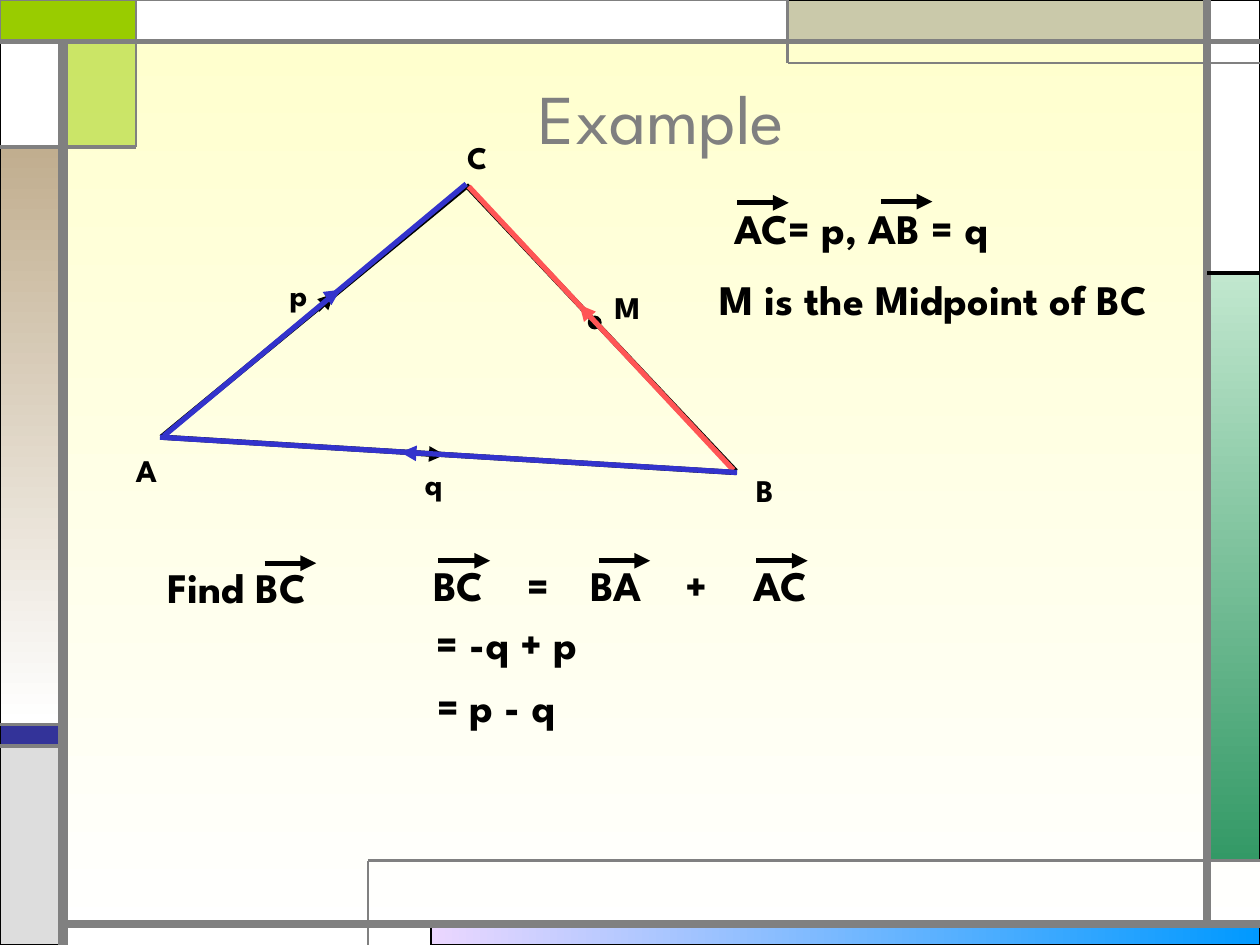
from dataclasses import dataclass
from typing import NamedTuple, Optional

from lxml import etree
from pptx import Presentation
from pptx import util as u
from pptx.dml import color as col
from pptx.enum import shapes, text
from pptx.oxml import ns


@dataclass(frozen=True)
class Theme:
    font: str = "League Spartan"
    title: int = 40
    body: int = 24
    label: int = 18
    black: str = "000000"
    white: str = "FFFFFF"
    gray: str = "808080"
    lime: str = "99CC00"
    navy: str = "333399"
    silver: str = "DDDDDD"
    khaki: str = "CAC9AA"
    red: str = "FF5555"
    blue: str = "3333CC"
    page: tuple = ("FFFFCC", "FFFFFF")
    sky: tuple = ("0099FF", "EBD7FF")
    green: tuple = ("C1E7CE", "339966")
    tan: tuple = ("C1AE8F", "FFFFFF")


T = Theme()


class Panel(NamedTuple):
    x: float
    y: float
    w: float
    h: float
    fill: object  # one colour, or a pair for a gradient
    angle: int = 270
    alpha: Optional[int] = None
    edge: str = T.black
    weight: float = 0.75
    kind: shapes.MSO_SHAPE = shapes.MSO_SHAPE.RECTANGLE


class Stroke(NamedTuple):
    x1: float
    y1: float
    x2: float
    y2: float
    color: str = T.black
    weight: float = 3
    arrow: bool = False


class Label(NamedTuple):
    words: str
    x: float
    y: float
    w: float
    h: float = 0.5
    size: int = T.body


def rgb(code: str) -> col.RGBColor:
    return col.RGBColor.from_string(code)


def shade(fill, pair: tuple, angle: int) -> None:
    fill.gradient()
    fill.gradient_angle = angle
    for stop, code in zip(fill.gradient_stops, pair):
        stop.color.rgb = rgb(code)


def draw_panel(slide, p: Panel) -> None:
    box = slide.shapes.add_shape(p.kind, *map(u.Inches, (p.x, p.y, p.w, p.h)))
    box.shadow.inherit = False
    if isinstance(p.fill, tuple):
        shade(box.fill, p.fill, p.angle)
    else:
        box.fill.solid()
        box.fill.fore_color.rgb = rgb(p.fill)
    if p.alpha is not None:
        tint = box.fill._xPr.find(".//" + ns.qn("a:srgbClr"))
        etree.SubElement(tint, ns.qn("a:alpha")).set("val", str(p.alpha * 1000))
    box.line.color.rgb = rgb(p.edge)
    box.line.width = u.Pt(p.weight)


def draw_stroke(slide, s: Stroke) -> None:
    ends = map(u.Inches, (s.x1, s.y1, s.x2, s.y2))
    line = slide.shapes.add_connector(shapes.MSO_CONNECTOR.STRAIGHT, *ends)
    line.line.color.rgb = rgb(s.color)
    line.line.width = u.Pt(s.weight)
    if s.arrow:
        tip = etree.SubElement(line.line._get_or_add_ln(), ns.qn("a:tailEnd"))
        tip.set("type", "triangle")
    etree.SubElement(line._element.spPr, ns.qn("a:effectLst"))


def draw_label(slide, l: Label) -> None:
    box = slide.shapes.add_textbox(*map(u.Inches, (l.x, l.y, l.w, l.h)))
    frame = box.text_frame
    frame.text = l.words
    frame.word_wrap = False
    frame.auto_size = text.MSO_AUTO_SIZE.SHAPE_TO_FIT_TEXT
    style(frame, l.size, T.black, True)


def style(frame, size: int, color: str, bold: bool) -> None:
    font = frame.paragraphs[0].runs[0].font
    font.name, font.size, font.bold = T.font, u.Pt(size), bold
    font.color.rgb = rgb(color)


def draw_title(slide, words: str) -> None:
    box = slide.shapes.add_textbox(*map(u.Inches, (1, 0.3, 8.5, 1.25)))
    frame = box.text_frame
    frame.text = words
    frame.word_wrap = True
    frame.vertical_anchor = text.MSO_ANCHOR.MIDDLE
    frame.paragraphs[0].alignment = text.PP_ALIGN.CENTER
    style(frame, T.title, T.gray, False)


def over(x: float, y: float) -> Stroke:
    """Vector arrow that sits over a pair of letters."""
    return Stroke(x, y, x + 0.41, y, arrow=True)


def mark(name: str, x: float, y: float, w: float = 0.36) -> Label:
    return Label(name, x, y, w, 0.4, T.label)


FRAME = [
    Panel(3.42, 7.33, 6.58, 0.17, T.sky, 180),
    Panel(9.58, 2.17, 0.42, 4.67, T.green),
    Panel(0, 5.75, 0.5, 0.17, T.navy),
    Panel(0, 5.92, 0.5, 1.58, T.silver),
    Panel(9.58, 0, 0.42, 2.17, T.white),
    Panel(6.25, 0, 3.33, 0.33, T.khaki),
    Panel(0.5, 0.33, 0.58, 0.83, T.lime, alpha=50),
    Panel(0, 1.17, 0.5, 4.58, T.tan),
    Panel(0, 0.33, 0.5, 0.83, T.white),
    Panel(0, 0, 1.08, 0.33, T.lime, edge=T.gray, weight=1.5),
    Panel(1.08, 0, 5.17, 0.33, T.white, edge=T.gray),
    Stroke(0.5, 7.5, 0.5, 0.33, T.gray, 6),
    Stroke(0.5, 7.33, 10, 7.33, T.gray, 4.5),
    Stroke(9.58, 7.33, 9.58, 0, T.gray, 4.5),
    Stroke(0, 0.33, 10, 0.33, T.gray, 3),
    Stroke(10, 0.5, 6.25, 0.5, T.gray, 1.5),
    Stroke(6.25, 0.5, 6.25, 0, T.gray, 1.5),
    Stroke(9.58, 2.17, 10, 2.17, T.black, 2.25),
    Stroke(1.08, 0, 1.08, 1.17, T.gray, 1.5),
    Stroke(1.08, 1.17, 0, 1.17, T.gray, 2.25),
    Stroke(2.92, 7.5, 2.92, 6.83, T.gray, 1.5),
    Stroke(2.92, 6.83, 10, 6.83, T.gray, 1.5),
    *(Stroke(0.5, y, 0, y, T.gray, 2.25) for y in (5.75, 5.92)),
]

TRIANGLE = [
    Stroke(1.28, 3.47, 3.7, 1.48),
    Stroke(1.28, 3.47, 5.84, 3.75),
    Stroke(3.7, 1.47, 5.84, 3.74),
    mark("A", 0.98, 3.53), mark("B", 5.9, 3.69), mark("C", 3.61, 1.05),
    Stroke(2.52, 2.46, 2.65, 2.33, arrow=True),
    Stroke(3.34, 3.6, 3.53, 3.61, arrow=True),
    mark("p", 2.2, 2.13), mark("q", 3.27, 3.63),
    Panel(4.67, 2.51, 0.1, 0.1, T.black, kind=shapes.MSO_SHAPE.OVAL),
    mark("M", 4.78, 2.24, 0.43),
]

GIVEN = [
    Label("M is the Midpoint of BC", 5.61, 2.12, 4.05),
    Label("Find BC", 1.23, 4.41, 1.44), over(2.1, 4.47),
    Label("AC= p, AB = q", 5.73, 1.56, 2.34), over(5.85, 1.61), over(6.99, 1.6),
]

ROUTE = [
    Stroke(5.82, 3.73, 3.72, 1.48, T.red),
    Stroke(4.67, 2.5, 4.6, 2.42, T.red, arrow=True),
    Stroke(5.85, 3.75, 1.27, 3.47, T.blue),
    Stroke(3.34, 3.6, 3.18, 3.59, T.blue, arrow=True),
    Stroke(1.3, 3.46, 3.7, 1.46, T.blue),
    Stroke(2.61, 2.36, 2.7, 2.3, T.blue, arrow=True),
]

SUM = [
    *(Label(name, x, 4.39, w) for name, x, w in (
        ("BC", 3.34, 0.63), ("=", 4.09, 0.39), ("BA", 4.59, 0.65),
        ("+", 5.34, 0.39), ("AC", 5.88, 0.64))),
    *(over(x, 4.45) for x in (3.48, 4.75, 6)),
    Label("= -q + p", 3.37, 4.85, 1.37),
    Label("= p - q", 3.37, 5.35, 1.18),
]

DRAW = {Panel: draw_panel, Stroke: draw_stroke, Label: draw_label}


def main() -> None:
    deck = Presentation()
    deck.slide_width, deck.slide_height = u.Inches(10), u.Inches(7.5)
    slide = deck.slides.add_slide(deck.slide_layouts[6])
    shade(slide.background.fill, T.page, 270)
    for item in FRAME:
        DRAW[type(item)](slide, item)
    draw_title(slide, "Example")
    for item in TRIANGLE + GIVEN + ROUTE + SUM:
        DRAW[type(item)](slide, item)
    deck.save("out.pptx")


if __name__ == "__main__":
    main()
